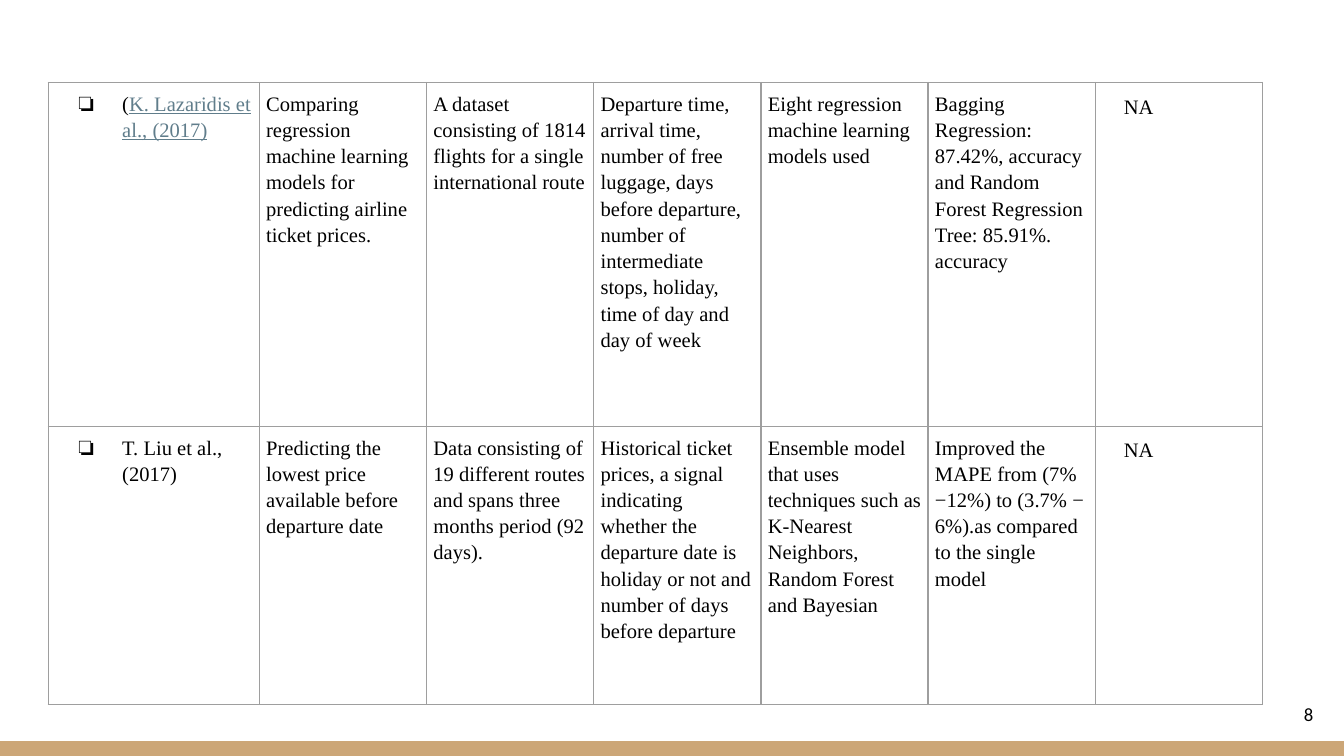
from lxml import etree
from pptx import Presentation
from pptx.dml.color import RGBColor
from pptx.enum.shapes import MSO_SHAPE as Shape
from pptx.enum.text import MSO_ANCHOR as Anchor, PP_ALIGN as Align
from pptx.oxml.ns import qn
from pptx.util import Cm, Pt

COLORS = {"band": "CCA677", "grid": "9E9E9E", "text": "000000", "link": "607D8B"}
SERIF, SANS = "Times New Roman", "Calibri"

COLUMN_WIDTHS = [3.99] + [3.16] * 6
ROW_HEIGHTS = [6.5, 5.25]
# Each cell is a list of (text, format) pairs
STUDIES = [
    [
        [("(", {}), ("K. Lazaridis et al., (2017)", {"color": "link", "underline": True})],
        [("Comparing regression machine learning models for predicting airline "
          "ticket prices.", {})],
        [("A dataset consisting of 1814 flights for a single international route", {})],
        [("Departure time, arrival time, number of free luggage, days before departure, "
          "number of intermediate stops, holiday, time of day and day of week", {})],
        [("Eight regression machine learning models used", {})],
        [("Bagging Regression: 87.42%, accuracy and Random Forest Regression Tree: "
          "85.91%. accuracy", {})],
        [("NA", {})],
    ],
    [
        [("T. Liu et al., (2017)", {})],
        [("Predicting the lowest price available before departure date", {})],
        [("Data consisting of 19 different routes and spans three months period "
          "(92 days).", {})],
        [("Historical ticket prices, a signal indicating whether the departure date is "
          "holiday or not and number of days before departure", {})],
        [("Ensemble model that uses techniques such as K-Nearest Neighbors, "
          "Random Forest and Bayesian", {})],
        [("Improved the MAPE from (7% −12%) to (3.7% − 6%).as compared to "
          "the single model", {})],
        [("NA", {})],
    ],
]


def add_span(para, text, font=SERIF, size=11, color="text", underline=False):
    span = para.add_run()
    span.text = text
    span.font.name = font
    span.font.size = Pt(size)
    span.font.underline = underline
    span.font.color.rgb = RGBColor.from_string(COLORS[color])


class SlideBuilder:
    def __init__(self, page):
        self.page = page

    def band(self, left, top, width, height):
        bar = self.page.shapes.add_shape(
            Shape.RECTANGLE, Cm(left), Cm(top), Cm(width), Cm(height))
        bar.shadow.inherit = False
        bar.fill.solid()
        bar.fill.fore_color.rgb = RGBColor.from_string(COLORS["band"])
        bar.line.fill.background()

    def label(self, text, left, top, width, height, **style):
        box = self.page.shapes.add_textbox(Cm(left), Cm(top), Cm(width), Cm(height))
        frame = box.text_frame
        frame.word_wrap = True
        frame.vertical_anchor = Anchor.MIDDLE
        frame.margin_top = frame.margin_bottom = Cm(0.25)
        para = frame.paragraphs[0]
        para.alignment = Align.RIGHT
        add_span(para, text, **style)

    def table(self, rows, left, top, widths, heights):
        table = self.page.shapes.add_table(
            len(rows), len(widths), Cm(left), Cm(top),
            Cm(sum(widths)), Cm(sum(heights))).table
        table.first_row = table.horz_banding = False
        for column, width in zip(table.columns, widths):
            column.width = Cm(width)
        last = len(widths) - 1
        for r, (cells, height) in enumerate(zip(rows, heights)):
            table.rows[r].height = Cm(height)
            for c, spans in enumerate(cells):
                cell = table.cell(r, c)
                self.cell_frame(cell, 0.25 if c == last else 0.13)
                para = cell.text_frame.paragraphs[0]
                if c == last:
                    cell.margin_left = Cm(0.54)
                else:
                    para.line_spacing = 1.15
                if c == 0:
                    self.bullet(para)
                for text, style in spans:
                    add_span(para, text, **style)

    def cell_frame(self, cell, margin):
        cell.margin_left = cell.margin_right = Cm(margin)
        cell.margin_top = cell.margin_bottom = Cm(margin)
        cell.fill.background()
        properties = cell._tc.get_or_add_tcPr()
        for place, side in enumerate(("a:lnL", "a:lnR", "a:lnT", "a:lnB")):
            line = etree.Element(qn(side), w=str(Pt(0.75)))
            fill = etree.SubElement(line, qn("a:solidFill"))
            etree.SubElement(fill, qn("a:srgbClr"), val=COLORS["grid"])
            properties.insert(place, line)

    def bullet(self, para):
        properties = para._p.get_or_add_pPr()
        properties.set("marL", str(Cm(1.27)))
        properties.set("indent", str(Cm(-0.83)))
        color = etree.SubElement(properties, qn("a:buClr"))
        etree.SubElement(color, qn("a:srgbClr"), val=COLORS["text"])
        etree.SubElement(properties, qn("a:buFont"), typeface=SERIF)
        etree.SubElement(properties, qn("a:buChar"), char="❏")


def main():
    deck = Presentation()
    deck.slide_width, deck.slide_height = Cm(25.4), Cm(14.29)
    builder = SlideBuilder(deck.slides.add_slide(deck.slide_layouts[6]))

    # Bottom band
    builder.band(0, 14.01, 25.4, 0.28)
    # Literature review table
    builder.table(STUDIES, 0.91, 1.56, COLUMN_WIDTHS, ROW_HEIGHTS)
    # Page number
    builder.label("8", 23.55, 12.96, 1.52, 1.09, font=SANS, size=10)

    deck.save("out.pptx")


if __name__ == "__main__":
    main()
